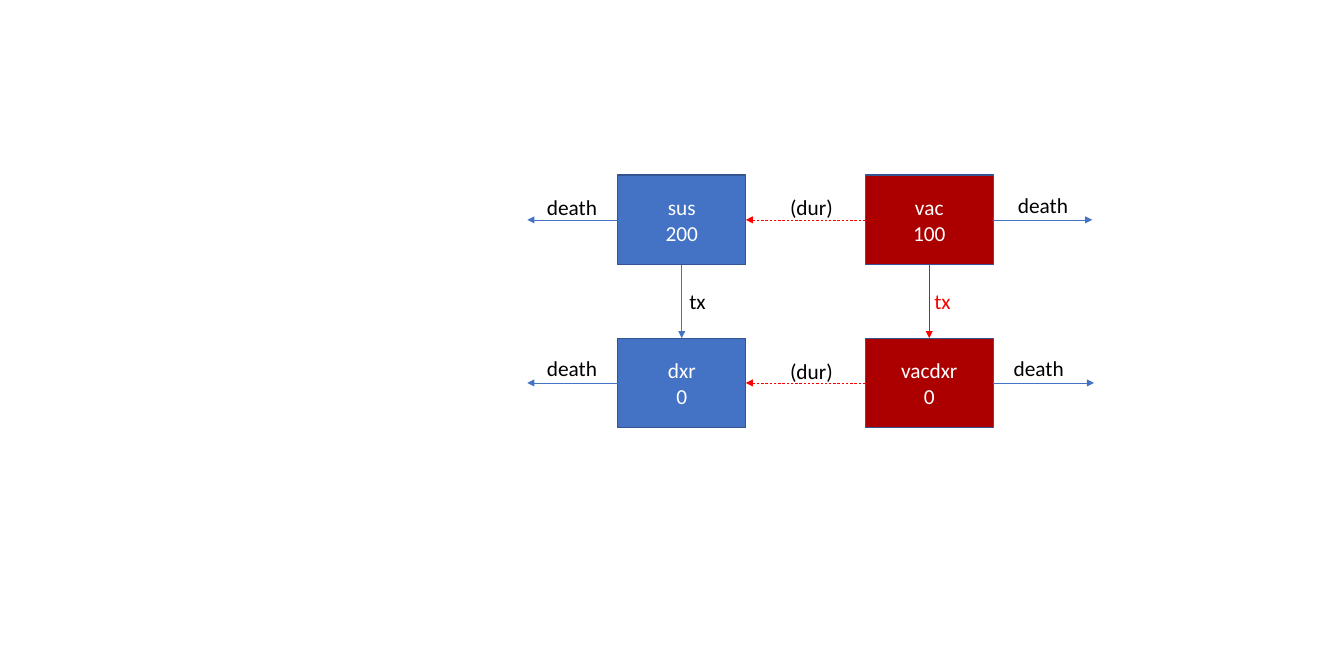
from dataclasses import dataclass
from typing import Optional

from lxml.etree import SubElement
from pptx import Presentation
from pptx.dml.color import RGBColor
from pptx.enum.dml import MSO_LINE
from pptx.enum.shapes import MSO_CONNECTOR, MSO_SHAPE
from pptx.enum.text import MSO_ANCHOR, MSO_AUTO_SIZE, PP_ALIGN
from pptx.oxml.ns import qn
from pptx.shapes.autoshape import Shape
from pptx.shapes.shapetree import SlideShapes
from pptx.text.text import TextFrame
from pptx.util import Emu, Pt

BLUE = RGBColor(0x44, 0x72, 0xC4)
NAVY = RGBColor(0x32, 0x54, 0x91)
MAROON = RGBColor(0xAC, 0x00, 0x00)
RED = RGBColor(0xFF, 0x00, 0x00)
BLACK = RGBColor(0x00, 0x00, 0x00)
WHITE = RGBColor(0xFF, 0xFF, 0xFF)

SCALE = 9144
WIDTH, HEIGHT = 150, 105
LEFT, RIGHT = 724, 1014
UPPER, LOWER = 205, 396
TOP, WEST, BOTTOM, EAST = range(4)
FONT = {"name": "Calibri", "size": Pt(18)}
FRAME = {"word_wrap": False, "auto_size": MSO_AUTO_SIZE.SHAPE_TO_FIT_TEXT}


def px(count: int) -> Emu:
    return Emu(count * SCALE)


@dataclass
class State:
    name: str
    count: int
    x: int
    y: int
    color: RGBColor


@dataclass
class Flow:
    start: str
    side: int
    color: RGBColor
    end: Optional[str] = None
    reach: int = 0
    weight: float = 0.5
    dashed: bool = False


@dataclass
class Label:
    text: str
    x: int
    y: int
    width: int
    color: RGBColor = BLACK


STATES = [
    State("sus", 200, LEFT, UPPER, BLUE),
    State("vac", 100, RIGHT, UPPER, MAROON),
    State("vacdxr", 0, RIGHT, LOWER, MAROON),
    State("dxr", 0, LEFT, LOWER, BLUE),
]
FLOWS = [
    Flow("sus", BOTTOM, BLUE, end="dxr"),
    Flow("vac", BOTTOM, RED, end="vacdxr", weight=1),
    Flow("vac", WEST, RED, end="sus", dashed=True),
    Flow("vacdxr", WEST, RED, end="dxr", dashed=True),
    Flow("vac", EAST, BLUE, reach=1280),
    Flow("vacdxr", EAST, BLUE, reach=1282),
    Flow("sus", WEST, BLUE, reach=618),
    Flow("dxr", WEST, BLUE, reach=618),
]
LABELS = [
    Label("(dur)", 916, 223, 78),
    Label("(dur)", 916, 414, 78),
    Label("tx", 1085, 333, 42, RED),
    Label("tx", 798, 333, 42),
    Label("death", 1183, 220, 88),
    Label("death", 1178, 411, 88),
    Label("death", 631, 411, 88),
    Label("death", 631, 223, 88),
]


def write(frame: TextFrame, text: str, color: RGBColor, align: PP_ALIGN) -> None:
    frame.text = text
    for line in frame.paragraphs:
        line.alignment = align
        for run in line.runs:
            for key, value in FONT.items():
                setattr(run.font, key, value)
            run.font.color.rgb = color


def draw_state(shapes: SlideShapes, state: State) -> Shape:
    box = shapes.add_shape(
        MSO_SHAPE.RECTANGLE, px(state.x), px(state.y), px(WIDTH), px(HEIGHT)
    )
    box.shadow.inherit = False
    box.fill.solid()
    box.fill.fore_color.rgb = state.color
    box.line.color.rgb = NAVY
    box.line.width = Pt(1)
    box.text_frame.vertical_anchor = MSO_ANCHOR.MIDDLE
    write(box.text_frame, f"{state.name}\n{state.count}", WHITE, PP_ALIGN.CENTER)
    return box


def draw_flow(shapes: SlideShapes, flow: Flow, boxes: dict[str, Shape]) -> None:
    start = boxes[flow.start]
    level = start.top + start.height // 2
    arrow = shapes.add_connector(
        MSO_CONNECTOR.STRAIGHT, start.left, level, px(flow.reach), level
    )
    arrow.begin_connect(start, flow.side)
    if flow.end:
        arrow.end_connect(boxes[flow.end], (flow.side + 2) % 4)
    arrow.line.color.rgb = flow.color
    arrow.line.width = Pt(flow.weight)
    if flow.dashed:
        arrow.line.dash_style = MSO_LINE.DASH
    props = arrow.element.spPr
    SubElement(props.find(qn("a:ln")), qn("a:tailEnd"), type="triangle")
    SubElement(props, qn("a:effectLst"))


def draw_label(shapes: SlideShapes, label: Label) -> None:
    box = shapes.add_textbox(px(label.x), px(label.y), px(label.width), px(44))
    for key, value in FRAME.items():
        setattr(box.text_frame, key, value)
    write(box.text_frame, label.text, label.color, PP_ALIGN.LEFT)


def main() -> None:
    deck = Presentation()
    deck.slide_width, deck.slide_height = px(1575), px(787)
    shapes = deck.slides.add_slide(deck.slide_layouts[6]).shapes
    boxes = {state.name: draw_state(shapes, state) for state in STATES}
    for flow in FLOWS:
        draw_flow(shapes, flow, boxes)
    for label in LABELS:
        draw_label(shapes, label)
    deck.save("out.pptx")


if __name__ == "__main__":
    main()
